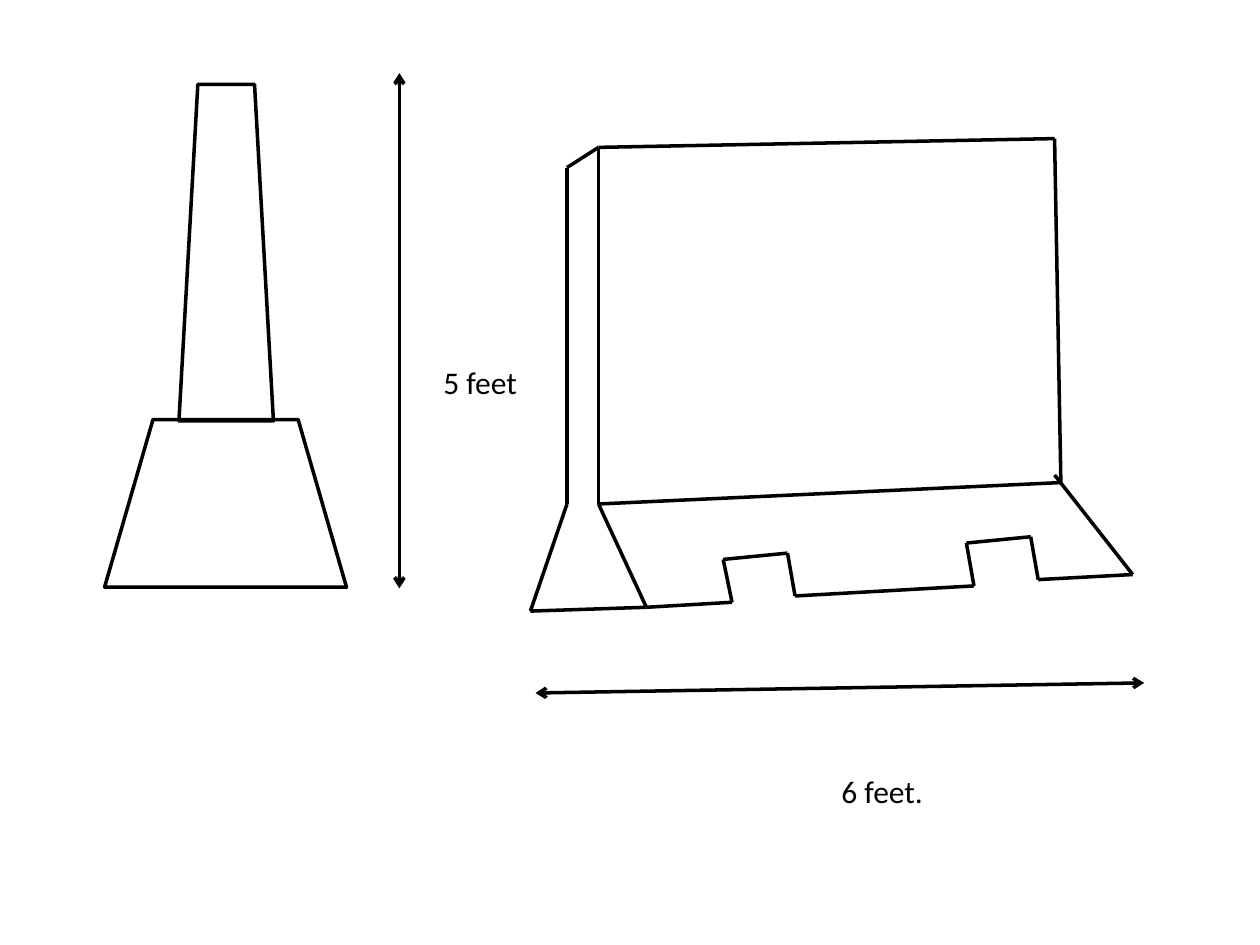
from dataclasses import dataclass
from itertools import pairwise

from pptx import Presentation
from pptx.dml.color import RGBColor
from pptx.enum.shapes import MSO_CONNECTOR as CONN, MSO_SHAPE as SHAPE
from pptx.oxml.ns import qn
from pptx.util import Inches, Pt
from lxml.etree import SubElement


@dataclass(frozen=True)
class Theme:
    ink: RGBColor = RGBColor(0, 0, 0)
    line_width: Pt = Pt(2)
    font: str = "Calibri"
    label_size: Pt = Pt(18)


class Sketch:
    """Draws outlined shapes, lines and labels on one slide in one theme."""

    def __init__(self, slide, theme):
        self.slide = slide
        self.theme = theme

    def ink(self, line):
        line.color.rgb = self.theme.ink
        line.width = self.theme.line_width

    def trapezoid(self, left, top, width, height):
        """Add an unfilled trapezoid with its wide side at the bottom."""
        sp = self.slide.shapes.add_shape(
            SHAPE.FLOWCHART_MANUAL_OPERATION,
            Inches(left), Inches(top), Inches(width), Inches(height))
        sp.rotation = 180
        sp.shadow.inherit = False
        sp.fill.background()
        self.ink(sp.line)

    def line(self, shapes, start, end):
        x1, y1, x2, y2 = map(Inches, (*start, *end))
        cxn = shapes.add_connector(CONN.STRAIGHT, x1, y1, x2, y2)
        self.ink(cxn.line)
        SubElement(cxn._element.spPr, qn("a:effectLst"))
        return cxn

    def polyline(self, shapes, points):
        for start, end in pairwise(points):
            self.line(shapes, start, end)

    def dimension(self, shapes, start, end):
        """Add a line with an open arrowhead at both ends."""
        cxn = self.line(shapes, start, end)
        ln = cxn.line._get_or_add_ln()
        for tag in ("a:headEnd", "a:tailEnd"):
            SubElement(ln, qn(tag), type="arrow")

    def label(self, text, left, top, width, height=0.4):
        box = self.slide.shapes.add_textbox(
            Inches(left), Inches(top), Inches(width), Inches(height))
        tf = box.text_frame
        tf.word_wrap = False
        tf.text = text
        font = tf.paragraphs[0].runs[0].font
        font.name = self.theme.font
        font.size = self.theme.label_size
        font.color.rgb = self.theme.ink


WALL_TOP, WALL_FOOT = (4.75, 1.17), (4.75, 4)
BASE_CORNER = (5.13, 4.82)
END_FACE = [BASE_CORNER, WALL_FOOT, WALL_TOP, (4.5, 1.33), (4.5, 4),
            (4.21, 4.85), BASE_CORNER]
WALL_FACE = [WALL_TOP, (8.37, 1.1), (8.42, 3.83), WALL_FOOT]
NOTCHED_BASE = [BASE_CORNER,
                (5.81, 4.78), (5.74, 4.44), (6.25, 4.39), (6.31, 4.73),
                (7.73, 4.65), (7.67, 4.31), (8.18, 4.26), (8.24, 4.6),
                (8.99, 4.56), (8.37, 3.77)]


def main():
    prs = Presentation()
    prs.slide_width, prs.slide_height = Inches(10), Inches(7.5)
    s = prs.slides.add_slide(prs.slide_layouts[6])
    sketch = Sketch(s, Theme())

    # End view with its height
    sketch.trapezoid(0.83, 3.33, 1.92, 1.33)
    sketch.trapezoid(1.42, 0.67, 0.75, 2.67)
    sketch.dimension(s.shapes, (3.17, 0.58), (3.17, 4.67))
    sketch.label("5 feet", 3.42, 2.83, 0.79)

    # Perspective view with its length
    barrier = s.shapes.add_group_shape().shapes
    for outline in (END_FACE, WALL_FACE, NOTCHED_BASE):
        sketch.polyline(barrier, outline)
    sketch.dimension(barrier, (4.25, 5.5), (9.08, 5.42))
    sketch.label("6 feet.", 6.58, 6.08, 0.86)

    prs.save("out.pptx")


if __name__ == "__main__":
    main()
